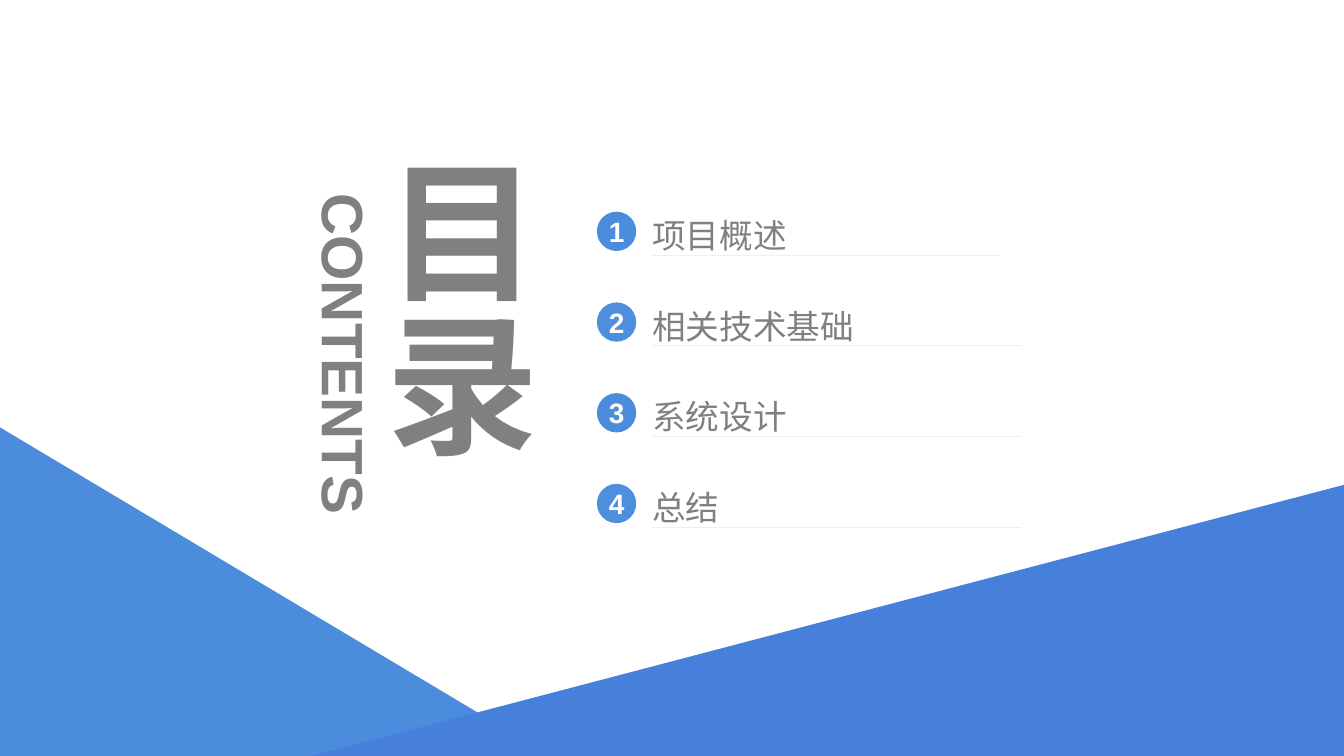
from lxml import etree
from pptx import Presentation
from pptx.dml.color import RGBColor
from pptx.enum.shapes import MSO_SHAPE
from pptx.enum.text import MSO_ANCHOR, MSO_AUTO_SIZE, PP_ALIGN
from pptx.util import Inches, Pt

CENTER, LEFT = PP_ALIGN.CENTER, PP_ALIGN.LEFT
MIDDLE, TOP = MSO_ANCHOR.MIDDLE, MSO_ANCHOR.TOP
NO_AUTOFIT, GROW = MSO_AUTO_SIZE.NONE, MSO_AUTO_SIZE.SHAPE_TO_FIT_TEXT
OVAL = MSO_SHAPE.OVAL

GRAY = RGBColor(0x80, 0x80, 0x80)
WHITE = RGBColor(0xFF, 0xFF, 0xFF)
SKY_BLUE = RGBColor(0x4B, 0x8C, 0xDC)
LIGHT_BLUE = RGBColor(0x4D, 0x8E, 0xDD)
ROYAL_BLUE = RGBColor(0x46, 0x80, 0xDB)

SLIDE_WIDTH, SLIDE_HEIGHT = 13.33, 7.5
TOPICS = ["项目概述", "相关技术基础", "系统设计", "总结"]
RULE_LENGTHS = [3.45, 3.66, 3.66, 3.66]
ROW_PITCH = 0.9


def prepare_frame(shape, anchor, auto_size=NO_AUTOFIT):
    frame = shape.text_frame
    frame.margin_left = frame.margin_right = 0
    frame.margin_top = frame.margin_bottom = 0
    frame.word_wrap = True
    frame.auto_size = auto_size
    frame.vertical_anchor = anchor
    return frame


def add_text(paragraph, text, size, color, bold, alignment):
    paragraph.alignment = alignment
    run = paragraph.add_run()
    run.text = text
    run.font.name = "Arial"
    run.font.size = Pt(size)
    run.font.bold = bold
    run.font.color.rgb = color


def paint(shape, color):
    shape.shadow.inherit = False
    shape.fill.solid()
    shape.fill.fore_color.rgb = color
    shape.line.fill.background()


def add_heading(slide, left, top, width, height):
    title = slide.shapes.title
    title.left, title.top = Inches(left + 1.91), Inches(top)
    title.width, title.height = Inches(width - 1.91), Inches(height)
    frame = prepare_frame(title, MIDDLE)
    frame._txBody.bodyPr.set("vert", "eaVert")
    add_text(frame.paragraphs[0], "目录", 109, GRAY, True, CENTER)

    label = slide.shapes.add_textbox(
        Inches(left), Inches(top + 1.62), Inches(3.42), Inches(0.7))
    label.rotation = 90
    frame = prepare_frame(label, TOP, GROW)
    add_text(frame.paragraphs[0], "CONTENTS", 41.7, GRAY, True, CENTER)


def add_badge(slide, number, left, top):
    badge = slide.shapes.add_shape(
        OVAL, Inches(left), Inches(top), Inches(0.39), Inches(0.39))
    paint(badge, SKY_BLUE if number % 2 else LIGHT_BLUE)
    frame = prepare_frame(badge, MIDDLE)
    add_text(frame.paragraphs[0], str(number), 20, WHITE, True, CENTER)


def add_underlined_topic(slide, topic, left, top, width, height):
    start, end = Inches(left), Inches(left + width)
    ceiling, baseline = Inches(top), Inches(top + height)
    builder = slide.shapes.build_freeform(start, baseline)
    builder.add_line_segments([(end, baseline), (start, baseline)], close=True)
    builder.move_to(start, ceiling)
    builder.add_line_segments([(start, ceiling)], close=True)
    row = builder.convert_to_shape()
    paint(row, GRAY)
    paragraph = prepare_frame(row, MIDDLE, GROW).paragraphs[0]
    paragraph.line_spacing = 1.3
    add_text(paragraph, topic, 24, GRAY, False, LEFT)


def add_agenda(slide, left, top):
    for index, (topic, length) in enumerate(zip(TOPICS, RULE_LENGTHS)):
        row_top = top + index * ROW_PITCH
        add_badge(slide, index + 1, left, row_top + 0.09)
        add_underlined_topic(slide, topic, left + 0.55, row_top, length, 0.52)


def add_triangle(slide, points, color):
    corners = [(Inches(x), Inches(y)) for x, y in points]
    builder = slide.shapes.build_freeform(*corners[0])
    builder.add_line_segments(corners[1:], close=True)
    paint(builder.convert_to_shape(), color)


def add_corners(slide, width, height):
    add_triangle(slide, [(0, 4.24), (5.46, height), (0, height)], SKY_BLUE)
    add_triangle(slide, [(width, 4.81), (width, height), (3.09, height)], ROYAL_BLUE)


def main():
    presentation = Presentation()
    presentation.slide_width = Inches(SLIDE_WIDTH)
    presentation.slide_height = Inches(SLIDE_HEIGHT)
    slide = presentation.slides.add_slide(presentation.slide_layouts[5])
    add_heading(slide, 1.71, 1.54, 3.75, 3.93)
    add_agenda(slide, 5.92, 2.01)
    add_corners(slide, SLIDE_WIDTH, SLIDE_HEIGHT)
    presentation.save("out.pptx")


if __name__ == "__main__":
    main()
